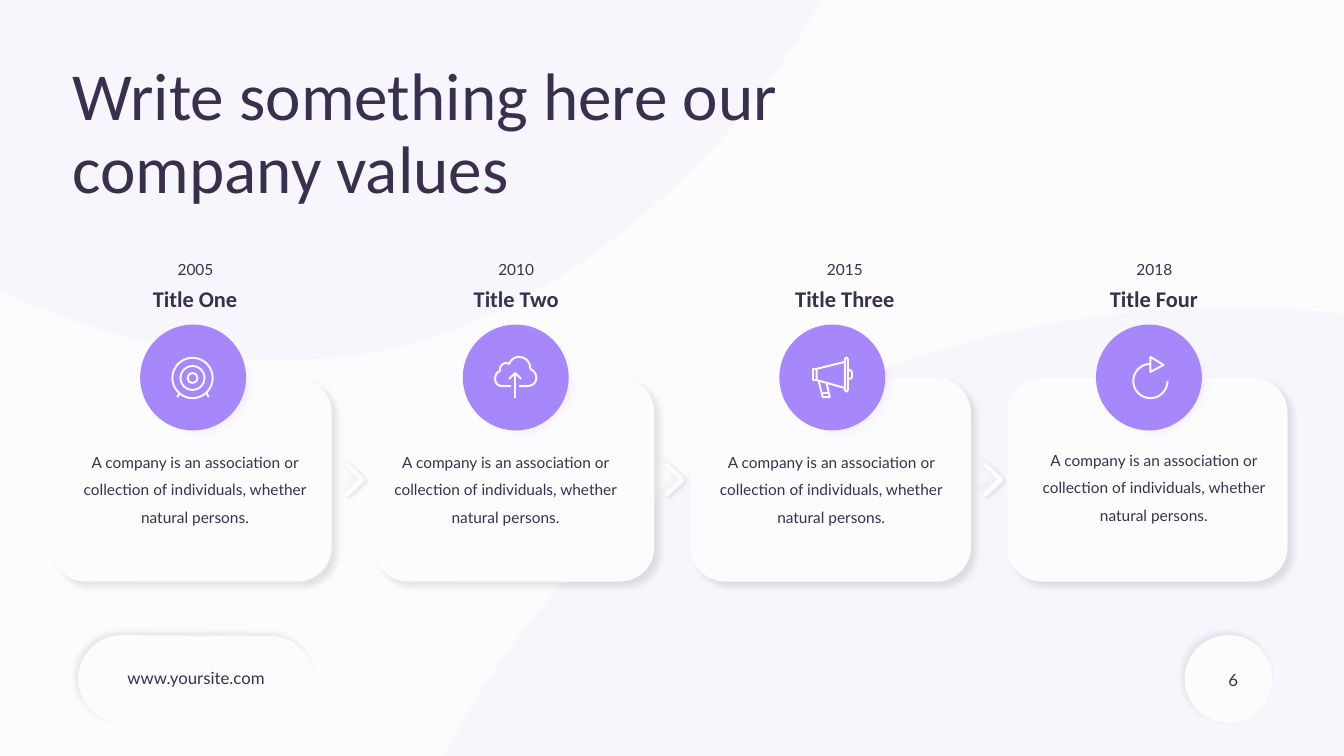
import math
from lxml import etree
from pptx import Presentation, util as u
from pptx.dml.color import RGBColor
from pptx.enum import shapes as es, text as et
from pptx.oxml.ns import qn

THEME = {
    "ink": "3B2F4E", "paper": "FCFCFC", "tint": "7C4EFD", "disc": "A688FC", "black": "000000",
    "styles": {
        "head": {"name": "Calibri", "size": u.Pt(48)},
        "title": {"name": "Calibri", "size": u.Pt(16), "bold": True},
        "small": {"name": "Lato", "size": u.Pt(11)},
        "foot": {"name": "Lato", "size": u.Pt(12)},
    },
}
ROUND, OVAL = es.MSO_SHAPE.ROUNDED_RECTANGLE, es.MSO_SHAPE.OVAL
LEFT, MID, RIGHT = et.PP_ALIGN.LEFT, et.PP_ALIGN.CENTER, et.PP_ALIGN.RIGHT

deck = Presentation()
deck.slide_width, deck.slide_height = u.Inches(13.33), u.Inches(7.5)
slide = deck.slides.add_slide(deck.slide_layouts[6])
slide.background.fill.solid()
slide.background.fill.fore_color.rgb = RGBColor.from_string(THEME["paper"])


def paint(shape, color, alpha=100, shade=None, soft=0):
    """Fill without outline; shade is (color, alpha %, blur pt, offset pt, degrees)."""
    shape.fill.solid()
    shape.fill.fore_color.rgb = RGBColor.from_string(THEME[color])
    shape.line.fill.background()
    shape.shadow.inherit = False
    props = shape.element.spPr
    if alpha < 100:
        tone = props.find(".//" + qn("a:srgbClr"))
        etree.SubElement(tone, qn("a:alpha"), val=str(alpha * 1000))
    fx = props.find(qn("a:effectLst"))
    if shade:
        hue, part, blur, dist, turn = shade
        outer = etree.SubElement(fx, qn("a:outerShdw"), blurRad=str(u.Pt(blur)),
                                 dist=str(u.Pt(dist)), dir=str(turn * 60000),
                                 algn="ctr", rotWithShape="0")
        tone = etree.SubElement(outer, qn("a:srgbClr"), val=THEME[hue])
        etree.SubElement(tone, qn("a:alpha"), val=str(part * 1000))
    if soft:
        etree.SubElement(fx, qn("a:softEdge"), rad=str(u.Pt(soft)))


def trace(rings, left=0, top=0):
    """Build a freeform from points (2 numbers), Bezier curves (6) and arcs (5)."""
    pen, curved = None, []
    for ring in rings:
        dots, bends = [], []
        for step in ring:
            if len(step) == 5:
                cx, cy, rad, start, end = step
                dots.append((cx + rad, cy))
                bends.append(False)
                for turn in range(start, end, 90):
                    c, s = math.cos(math.radians(turn)), math.sin(math.radians(turn))
                    for along, side in ((1, 0.55), (0.55, 1), (0, 1)):
                        dots.append((cx + rad * (along * c - side * s),
                                     cy + rad * (along * s + side * c)))
                    bends += [True] * 3
            else:
                dots += zip(step[::2], step[1::2])
                bends += [len(step) == 6] * (len(step) // 2)
        dots = [(u.Inches(left + x), u.Inches(top + y)) for x, y in dots]
        if pen is None:
            pen = slide.shapes.build_freeform(*dots[0], scale=1.0)
        else:
            pen.move_to(*dots[0])
        pen.add_line_segments(dots[1:], close=False)
        curved += bends[1:]
    shape = pen.convert_to_shape()
    count = 0
    for line, bend in zip(shape.element.findall(".//" + qn("a:lnTo")), curved):
        if bend:
            if count % 3 == 0:
                curve = etree.Element(qn("a:cubicBezTo"))
                line.addprevious(curve)
            curve.append(line[0])
            line.getparent().remove(line)
            count += 1
    return shape


# Background waves
waves = [
    [(8.52, -2.22), (9.06, -0.6, 7.17, 1.84, 5.26, 2.92), (3.34, 3.99, 1.41, 3.72, -1.24, 2.29),
     (-3.9, 0.88, -7.27, -1.7, -6.83, -3.2), (-6.41, -4.7, -2.16, -5.1, 1.44, -4.9),
     (5.04, -4.68, 7.99, -3.85, 8.52, -2.22)],
    [(19.8, 6.97), (20.57, 9.45, 18.28, 12.8, 15.15, 15.1), (12.02, 17.4, 8.06, 18.62, 5.77, 17.07),
     (3.5, 15.52, 2.92, 11.2, 4.13, 8.12), (5.34, 5.04, 8.36, 3.2, 11.78, 3.06),
     (15.2, 2.93, 19.04, 4.51, 19.8, 6.97)],
]
for wave in waves:
    paint(trace([wave]), "tint", 3)

# Footer buttons
for kind, box, turn in [(OVAL, (11.75, 6.3, 0.87, 0.87), 245.8),
                        (ROUND, (1.51, 5.57, 0.87, 2.34), 270.3)]:
    knob = slide.shapes.add_shape(kind, *map(u.Inches, box))
    knob.rotation = turn
    if kind == ROUND:
        knob.adjustments[0] = 0.5
    paint(knob, "paper", shade=("ink", 10, 4, 3, 225))

# Cards with discs: kind, offset from card, top, width, height, corner, paint values
layers = [
    (ROUND, 0, 3.75, 2.78, 2.02, 0.17, {"color": "paper", "shade": ("black", 10, 5, 5, 45)}),
    (ROUND, 0.11, 3.86, 2.56, 1.81, 0.11, {"color": "paper"}),
    (OVAL, 0.88, 3.21, 1.21, 1.21, None, {"color": "disc", "alpha": 40, "soft": 12}),
    (OVAL, 0.88, 3.22, 1.05, 1.05, None, {"color": "disc"}),
    (OVAL, 1.01, 3.34, 0.8, 0.8, None, {"color": "disc"}),
]
for left in (0.51, 3.71, 6.85, 9.99):
    for kind, shift, top, wide, high, bend, look in layers:
        part = slide.shapes.add_shape(kind, *map(u.Inches, (left + shift, top, wide, high)))
        if bend:
            part.adjustments[0] = bend
        paint(part, **look)

# Line icons
target = [[(1.91, 3.75, rad, 0, 360)] for rad in (0.2, 0.12, 0.05)]
target += [[(1.78, 3.9), (1.76, 3.94)], [(2.05, 3.9), (2.07, 3.94)]]
cloud = [
    [(5.07, 3.83), (4.98, 3.83), (4.94, 3.83, 4.91, 3.8, 4.91, 3.76),
     (4.91, 3.72, 4.93, 3.69, 4.96, 3.68), (4.96, 3.66), (4.96, 3.63, 4.99, 3.6, 5.02, 3.6),
     (5.03, 3.6, 5.04, 3.6, 5.05, 3.61), (5.07, 3.56, 5.11, 3.54, 5.15, 3.54),
     (5.21, 3.54, 5.26, 3.59, 5.26, 3.65), (5.26, 3.66), (5.3, 3.68, 5.32, 3.71, 5.32, 3.75),
     (5.32, 3.8, 5.28, 3.83, 5.23, 3.83), (5.15, 3.83)],
    [(5.05, 3.76), (5.11, 3.7), (5.17, 3.76)],
    [(5.11, 3.7), (5.11, 3.95)],
]
horn = [
    [(8.38, 3.57), (8.38, 3.54, 8.41, 3.54, 8.41, 3.57), (8.41, 3.87),
     (8.41, 3.89, 8.38, 3.89, 8.38, 3.87), (8.38, 3.57)],
    [(8.38, 3.59), (8.1, 3.66), (8.1, 3.77), (8.38, 3.85)],
    [(8.1, 3.66), (8.06, 3.66), (8.06, 3.77), (8.1, 3.77)],
    [(8.12, 3.78), (8.16, 3.94), (8.23, 3.94), (8.2, 3.81)],
    [(8.16, 3.9), (8.21, 3.9)],
    [(8.42, 3.67), (8.44, 3.67, 8.45, 3.68, 8.45, 3.7), (8.45, 3.74),
     (8.45, 3.75, 8.44, 3.76, 8.42, 3.76)],
]
reload = [[(11.41, 3.78, 0.17, 0, 270), (11.41, 3.69), (11.54, 3.62), (11.41, 3.54), (11.41, 3.61)]]
for rings in (target, cloud, horn, reload):
    icon = trace(rings)
    icon.fill.background()
    icon.line.color.rgb = RGBColor.from_string(THEME["paper"])
    icon.line.width = u.Pt(1.4)
    icon.shadow.inherit = False

# Chevrons between cards, each with a light and a dark shadow
chevron = [[(0.03, 0.33), (0.01, 0.33), (0, 0.32, 0, 0.3, 0.01, 0.29), (0.14, 0.17), (0.01, 0.04),
            (0, 0.04, 0, 0.02, 0.01, 0.01), (0.02, 0, 0.04, 0, 0.04, 0.01), (0.19, 0.15),
            (0.2, 0.16, 0.2, 0.18, 0.19, 0.19), (0.04, 0.33), (0.03, 0.33)]]
for left in (3.42, 6.59, 9.75):
    for shade in [("ink", 5, 5, 3, 225), ("ink", 10, 2, 2, 30)]:
        paint(trace(chevron, left, 4.59), "paper", shade=shade)

# Text: words, box, style, alignment, wrap, line spacing
notes = [
    ("Write something here our company values", (0.72, 0.62, 8.21, 1.58), "head", LEFT, True, 0.9),
    ("www.yoursite.com", (1.15, 6.58, 1.59, 0.3), "foot", MID, False, None),
    ("6", (9.38, 6.54, 3, 0.4), "foot", RIGHT, True, None),
]
body = "A company is an association or collection of individuals, whether natural persons."
steps = [
    ("2005", 1.66, "Title One", 1.06, 1.75, 0.71, 4.35),
    ("2010", 4.84, "Title Two", 4.05, 2.14, 3.79, 4.35),
    ("2015", 8.1, "Title Three", 7.43, 1.9, 7.02, 4.35),
    ("2018", 11.17, "Title Four", 10.57, 1.75, 10.22, 4.33),
]
for year, yleft, title, tleft, wide, bleft, btop in steps:
    notes += [(year, (yleft, 2.53, 0.56, 0.29), "small", MID, False, None),
              (title, (tleft, 2.78, wide, 0.37), "title", MID, True, None),
              (body, (bleft, btop, 2.45, 0.9), "small", MID, True, 1.5)]
for words, box, style, align, wrap, gap in notes:
    frame = slide.shapes.add_textbox(*map(u.Inches, box)).text_frame
    frame.word_wrap = wrap
    frame.auto_size = et.MSO_AUTO_SIZE.SHAPE_TO_FIT_TEXT
    if style == "head":
        frame.auto_size = et.MSO_AUTO_SIZE.NONE
        for side in ("left", "top", "right", "bottom"):
            setattr(frame, "margin_" + side, 0)
    if words == "6":
        frame.auto_size = et.MSO_AUTO_SIZE.NONE
        frame.vertical_anchor = et.MSO_ANCHOR.MIDDLE
    para = frame.paragraphs[0]
    para.alignment, para.line_spacing = align, gap
    run = para.add_run()
    run.text = words
    for key, value in THEME["styles"][style].items():
        setattr(run.font, key, value)
    run.font.color.rgb = RGBColor.from_string(THEME["ink"])

deck.save("out.pptx")
